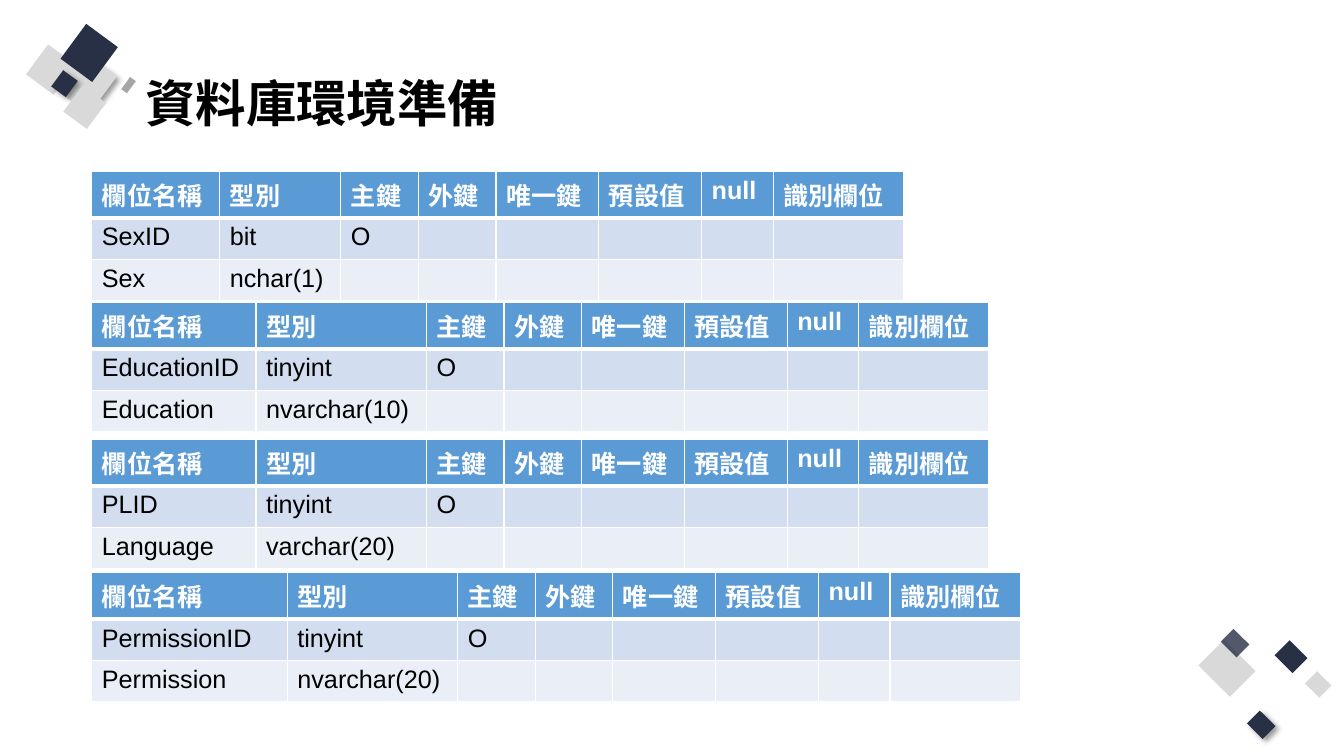
from lxml import etree
from pptx import Presentation, util as u
from pptx.dml.color import RGBColor
from pptx.enum import shapes, text
from pptx.oxml import ns

PX = u.Inches(1) // 100
NAVY, SILVER, GREY = "273045", "D9D9D9", "A6A6A6"
WHITE, BLACK, HEADER_BLUE = "FFFFFF", "000000", "5B9BD5"
BAND_FILLS = ["D2DEEF", "EAEFF7"]
TABLE_LEFT, ROW_HEIGHT = 91, 41
HEADINGS = ["欄位名稱", "型別", "主鍵", "外鍵", "唯一鍵", "預設值", "null", "識別欄位"]
FLAG_WIDTHS = [77, 77, 102, 102, 71, 129]
TABLES = [
    (170, [127, 120], [["SexID", "bit", "O"], ["Sex", "nchar(1)"]]),
    (300, [163, 169], [["EducationID", "tinyint", "O"], ["Education", "nvarchar(10)"]]),
    (436, [163, 169], [["PLID", "tinyint", "O"], ["Language", "varchar(20)"]]),
    (568, [194, 169], [["PermissionID", "tinyint", "O"], ["Permission", "nvarchar(20)"]]),
]
TOP_TILES = [
    ((120, 81, 15, 7), GREY, {}),
    ((32, 52, 37, 34), SILVER, {}),
    ((80, 66, 31, 28), SILVER, {"shadow": True}),
    ((69, 61, 19, 17), SILVER, {}),
    ((56, 66, 33, 30), SILVER, {}),
    ((54, 74, 20, 18), NAVY, {"shadow": True}),
    ((67, 33, 43, 39), NAVY, {}),
    ((68, 92, 32, 29), SILVER, {}),
]
BOTTOM_TILES = [
    ((1270, 639, 21, 25), NAVY, {}),
    ((1299, 669, 17, 20), SILVER, {}),
    ((1199, 641, 36, 44), SILVER, {}),
    ((1242, 708, 18, 22), NAVY, {"shadow": True}),
    ((1216, 627, 18, 22), NAVY, {"opacity": 80}),
]


def color(value):
    """Turn a hex string into a colour."""
    return RGBColor.from_string(value)


def box(left, top, width, height):
    """Turn a box in px into named EMU lengths."""
    return {"left": left * PX, "top": top * PX, "width": width * PX, "height": height * PX}


def apply_format(target, values):
    """Set each attribute named in a dict of format values."""
    for name, value in values.items():
        setattr(target, name, value)


def add_child(parent, tag, **attributes):
    """Append a DrawingML element with the given attributes."""
    return etree.SubElement(parent, ns.qn(tag), {key: str(value) for key, value in attributes.items()})


def paint(fill, value):
    """Give a fill one solid colour."""
    fill.solid()
    fill.fore_color.rgb = color(value)


def add_tile(slide, bounds, value, rotation, shadow=False, opacity=100):
    """Add a rotated decorative rectangle."""
    shape = slide.shapes.add_shape(shapes.MSO_SHAPE.RECTANGLE, **box(*bounds))
    shape.rotation = rotation
    shape.shadow.inherit = False
    shape.line.fill.background()
    paint(shape.fill, value)
    properties = shape.fill._xPr
    if opacity < 100:
        add_child(properties.find(".//" + ns.qn("a:srgbClr")), "a:alpha", val=opacity * 1000)
    if shadow:
        outer = add_child(properties.find(ns.qn("a:effectLst")), "a:outerShdw",
                          blurRad=u.Pt(4), dist=u.Pt(3), dir=45 * 60000, algn="tl", rotWithShape=0)
        add_child(add_child(outer, "a:srgbClr", val=BLACK), "a:alpha", val=40000)


def write_text(frame, content, size, value, bold):
    """Write one formatted run into a text frame."""
    run = frame.paragraphs[0].add_run()
    run.text = content
    apply_format(run.font, {"name": "Arial", "size": u.Pt(size), "bold": bold})
    run.font.color.rgb = color(value)


def add_title(slide, content):
    """Place and format the slide title."""
    title = slide.shapes.title
    apply_format(title, box(134, 40, 1055, 130))
    title.text_frame.vertical_anchor = text.MSO_ANCHOR.MIDDLE
    apply_format(title.text_frame.paragraphs[0], {"alignment": text.PP_ALIGN.LEFT, "line_spacing": 0.9})
    write_text(title.text_frame, content, 36, BLACK, True)


def add_borders(cell, top, bottom):
    """Draw white borders around a cell, with top and bottom in points."""
    properties = cell._tc.get_or_add_tcPr()
    for side, points in {"L": 1, "R": 1, "T": top, "B": bottom}.items():
        line = add_child(properties, f"a:ln{side}", w=u.Pt(points))
        add_child(add_child(line, "a:solidFill"), "a:srgbClr", val=WHITE)


def add_schema_table(slide, top, name_widths, records):
    """Add a column definition table with a heading row and banded records."""
    widths = name_widths + FLAG_WIDTHS
    rows = [HEADINGS] + records
    bounds = box(TABLE_LEFT, top, sum(widths), ROW_HEIGHT * len(rows))
    table = slide.shapes.add_table(len(rows), len(widths), **bounds).table
    for column, width in zip(table.columns, widths):
        column.width = width * PX
    for row_index, values in enumerate(rows):
        heading = row_index == 0
        for column_index in range(len(widths)):
            cell = table.cell(row_index, column_index)
            add_borders(cell, 3 if row_index == 1 else 1, 3 if heading else 1)
            paint(cell.fill, HEADER_BLUE if heading else BAND_FILLS[row_index - 1])
            if column_index < len(values):
                write_text(cell.text_frame, values[column_index], 18, WHITE if heading else BLACK, heading)


def main():
    """Build and save the slide."""
    presentation = Presentation()
    apply_format(presentation, {"slide_width": 1333 * PX, "slide_height": 750 * PX})
    slide = presentation.slides.add_slide(presentation.slide_layouts[5])
    for bounds, value, effects in TOP_TILES:
        add_tile(slide, bounds, value, 306.4, **effects)
    for bounds, value, effects in BOTTOM_TILES:
        add_tile(slide, bounds, value, 315, **effects)
    add_title(slide, "資料庫環境準備")
    for top, name_widths, records in TABLES:
        add_schema_table(slide, top, name_widths, records)
    presentation.save("out.pptx")


if __name__ == "__main__":
    main()
